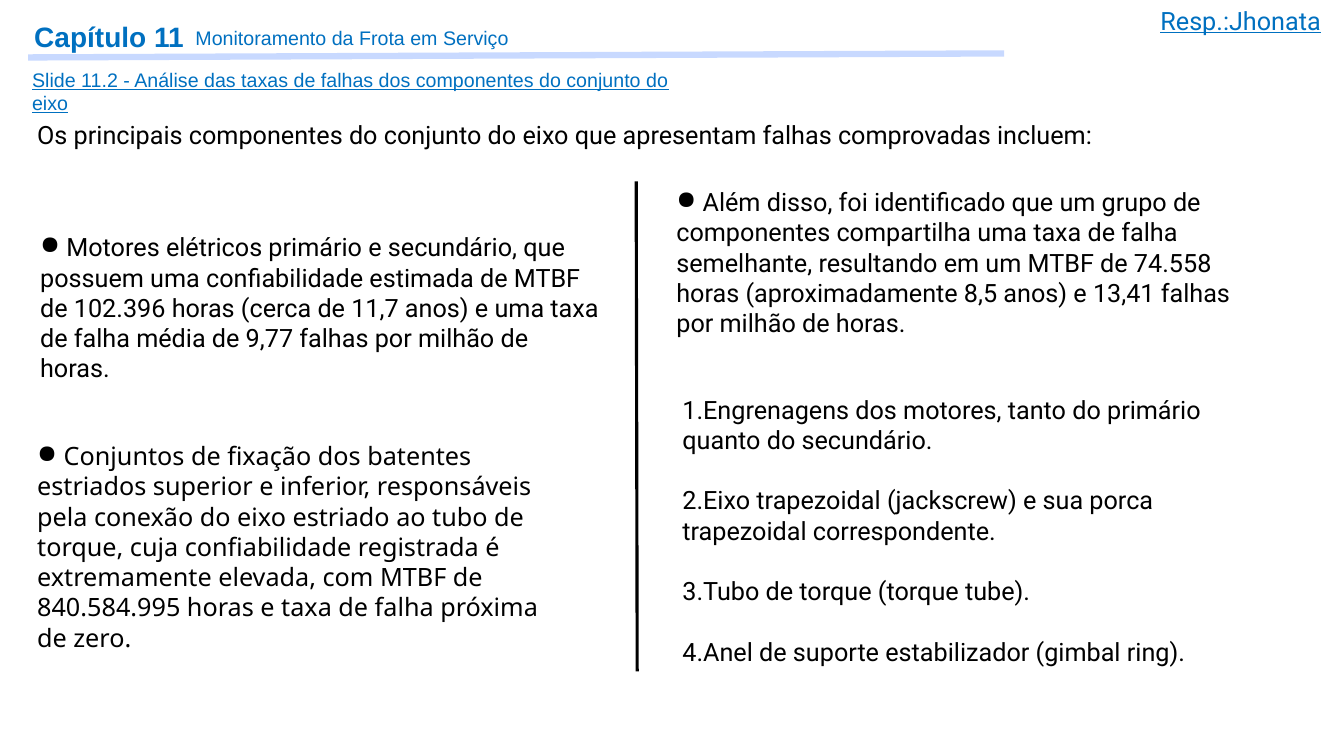
from lxml.etree import SubElement
from pptx import Presentation
from pptx.dml.color import RGBColor
from pptx.enum.shapes import MSO_CONNECTOR
from pptx.enum.text import MSO_ANCHOR, MSO_AUTO_SIZE, PP_ALIGN
from pptx.oxml.ns import qn
from pptx.util import Emu, Pt

BLUE = RGBColor(0x00, 0x70, 0xC0)
PALE = RGBColor(0x93, 0xB5, 0xFF)
BLACK = RGBColor(0, 0, 0)
SCALE = 9144
DOT = ("buChar", {"char": "●"})
COUNT = ("buAutoNum", {"type": "arabicPeriod"})


def px(num):
    """Turn px, one hundred to the inch, into EMU."""
    return Emu(num * SCALE)


class Page:
    """Hold the base style and the current slide."""

    base = {"name": "Roboto", "size": 18, "bold": False, "underline": False}

    def __init__(self, deck):
        """Add a blank slide to the deck."""
        self.slide = deck.slides.add_slide(deck.slide_layouts[6])

    def text(self, box, lines, color=BLACK, mark=None, gap=0, pad=None,
             align=PP_ALIGN.LEFT, **style):
        """Add a text box with one paragraph for each line."""
        frame = self.slide.shapes.add_textbox(*map(px, box)).text_frame
        frame.word_wrap = True
        frame.auto_size = MSO_AUTO_SIZE.SHAPE_TO_FIT_TEXT
        if pad is not None:
            frame.vertical_anchor = MSO_ANCHOR.MIDDLE
            for side in ("left", "top", "right", "bottom"):
                setattr(frame, "margin_" + side, px(pad))
        look = {**self.base, **style}
        size = look["size"]
        look["size"] = Pt(size)
        for i, line in enumerate(lines):
            para = frame.add_paragraph() if i else frame.paragraphs[0]
            para.alignment = align
            para.line_spacing = Pt(size * 1.2)
            para.space_before = Pt(gap if i else 0)
            if mark:
                self.bullet(para, *mark)
            run = para.add_run()
            run.text = line
            for key, value in look.items():
                setattr(run.font, key, value)
            run.font.color.rgb = color

    def bullet(self, para, tag, attrs):
        """Give a paragraph a bullet or a number."""
        props = para._p.get_or_add_pPr()
        props.set("marL", "0")
        props.set("indent", "0")
        SubElement(props, qn("a:" + tag), attrs)

    def line(self, ends, color, width, alpha=100):
        """Add a straight line."""
        rule = self.slide.shapes.add_connector(
            MSO_CONNECTOR.STRAIGHT, *map(px, ends))
        rule.line.color.rgb = color
        rule.line.width = Pt(width)
        props = rule._element.spPr
        if alpha < 100:
            tint = next(props.iter(qn("a:srgbClr")))
            SubElement(tint, qn("a:alpha"), {"val": str(alpha * 1000)})
        SubElement(props, qn("a:effectLst"))


def main():
    """Build the slide and save it."""
    deck = Presentation()
    deck.slide_width, deck.slide_height = px(1333), px(750)
    page = Page(deck)

    page.line((28, 57, 996, 53), PALE, 4.5, alpha=50)
    page.text((28, 15, 163, 43), ["Capítulo 11"], BLUE, pad=6,
              name="Arial", size=20, bold=True)
    page.text((22, 62, 680, 33),
              ["Slide 11.2 - Análise das taxas de falhas dos componentes "
               "do conjunto do eixo"],
              BLUE, name="Arial", size=14, underline=True)
    page.text((1128, 0, 205, 39), ["Resp.:Jhonata"], BLUE,
              align=PP_ALIGN.CENTER, underline=True)
    page.text((184, 21, 992, 56), ["Monitoramento da Frota em Serviço"],
              BLUE, name="Arial", size=14)
    page.text((27, 113, 1278, 39),
              ["Os principais componentes do conjunto do eixo que "
               "apresentam falhas comprovadas incluem:"])
    page.text((30, 225, 577, 127),
              [" Motores elétricos primário e secundário, que possuem uma "
               "confiabilidade estimada de MTBF de 102.396 horas (cerca de "
               "11,7 anos) e uma taxa de falha média de 9,77 falhas por "
               "milhão de horas."], mark=DOT)
    page.text((667, 386, 590, 273),
              ["Engrenagens dos motores, tanto do primário quanto do "
               "secundário.",
               "Eixo trapezoidal (jackscrew) e sua porca trapezoidal "
               "correspondente.",
               "Tubo de torque (torque tube).",
               "Anel de suporte estabilizador (gimbal ring)."],
              mark=COUNT, gap=21.6)
    page.line((631, 180, 632, 666), BLACK, 2.25)
    page.text((661, 180, 591, 156),
              [" Além disso, foi identificado que um grupo de componentes "
               "compartilha uma taxa de falha semelhante, resultando em um "
               "MTBF de 74.558 horas (aproximadamente 8,5 anos) e 13,41 "
               "falhas por milhão de horas."], mark=DOT)
    page.text((27, 432, 552, 185),
              [" Conjuntos de fixação dos batentes estriados superior e "
               "inferior, responsáveis pela conexão do eixo estriado ao tubo "
               "de torque, cuja confiabilidade registrada é extremamente "
               "elevada, com MTBF de 840.584.995 horas e taxa de falha "
               "próxima de zero."], mark=DOT, name="Noto Sans")

    deck.save("out.pptx")


if __name__ == "__main__":
    main()
